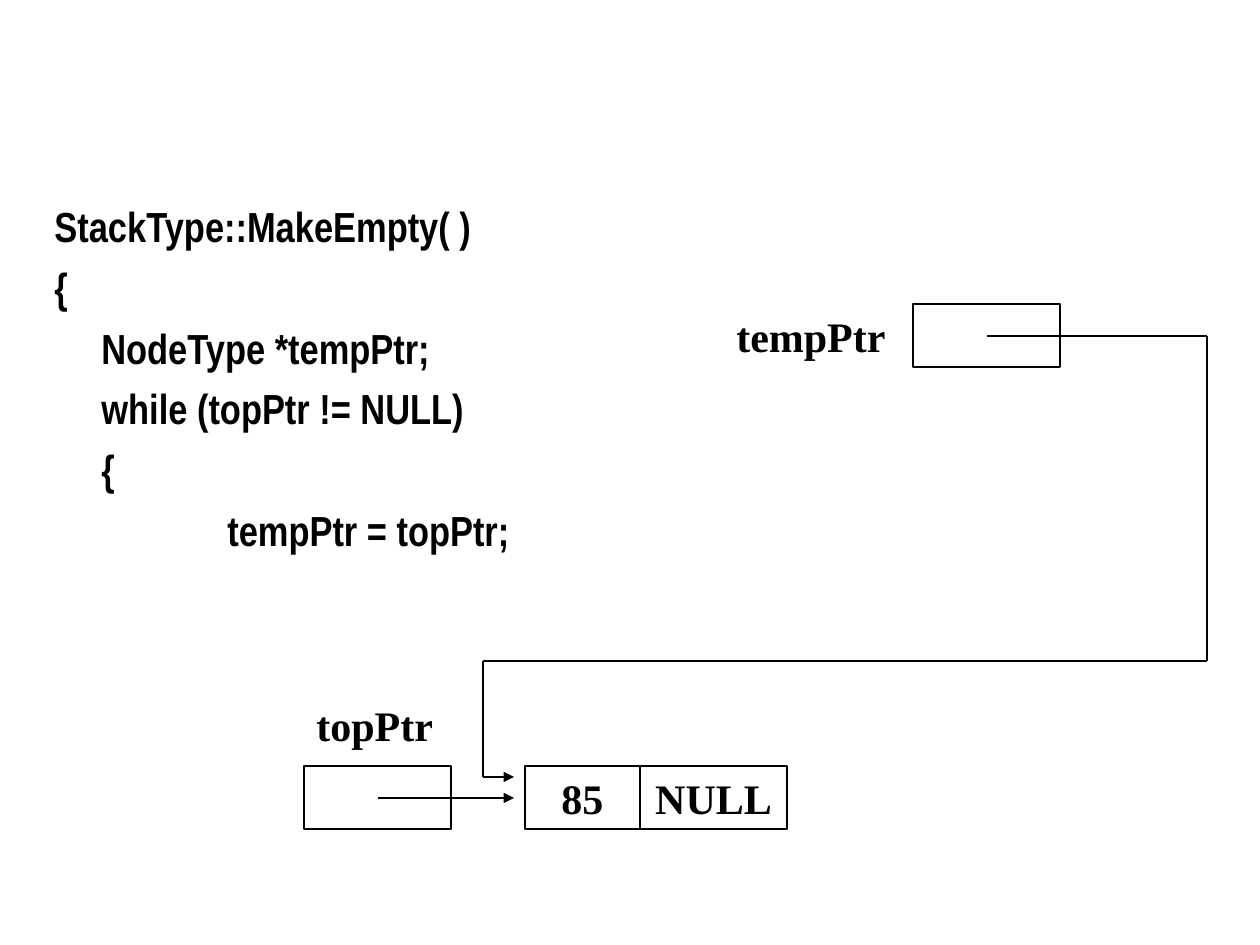
"""Build a slide showing a stack's MakeEmpty code beside its pointer diagram."""
from dataclasses import dataclass
from itertools import pairwise

from lxml import etree
from pptx import Presentation
from pptx.dml.color import RGBColor
from pptx.enum.shapes import MSO_CONNECTOR, MSO_SHAPE
from pptx.enum.text import MSO_ANCHOR, PP_ALIGN
from pptx.oxml.ns import qn
from pptx.util import Emu, Pt

RECTANGLE = MSO_SHAPE.RECTANGLE
STRAIGHT = MSO_CONNECTOR.STRAIGHT
TOP, MIDDLE = MSO_ANCHOR.TOP, MSO_ANCHOR.MIDDLE
LEFT, CENTER = PP_ALIGN.LEFT, PP_ALIGN.CENTER

PIXELS_PER_INCH = 126
BLACK, WHITE = "000000", "FFFFFF"
CODE_FONT, LABEL_FONT = "Arial Narrow", "Times New Roman"
CELL_HEIGHT = 63
NODE_TOP = 766


@dataclass(frozen=True)
class Cell:
    left: int
    top: int
    width: int
    text: str = ""


@dataclass(frozen=True)
class Label:
    left: int
    top: int
    width: int
    text: str


@dataclass(frozen=True)
class CodeLine:
    text: str
    indent: int = 0


CODE = [
    CodeLine("StackType::MakeEmpty( )"),
    CodeLine("{"),
    CodeLine("NodeType *tempPtr;", 47),
    CodeLine("while (topPtr != NULL)", 47),
    CodeLine("{", 47),
    CodeLine("tempPtr = topPtr;", 173),
]
CELLS = [
    Cell(913, 304, 147),
    Cell(525, NODE_TOP, 115, "85"),
    Cell(304, NODE_TOP, 147),
    Cell(640, NODE_TOP, 147, "NULL"),
]
LABELS = [
    Label(724, 304, 189, "tempPtr"),
    Label(304, 693, 189, "topPtr"),
]
POINTERS = [
    [(987, 336), (1207, 336), (1207, 661), (483, 661), (483, 777), (514, 777)],
    [(378, 798), (514, 798)],
]


def px(length: int) -> Emu:
    """Turn pixels into EMU."""
    return Emu(round(length * 914400 / PIXELS_PER_INCH))


def color(value: str) -> RGBColor:
    """Turn a hex string into a colour."""
    return RGBColor.from_string(value)


def write_text(frame, text: str, *, font: str = LABEL_FONT, align=LEFT,
               anchor=TOP, wrap: bool = True, indent: int = 0,
               space_before: int = 0, new_paragraph: bool = False) -> None:
    """Write one bold paragraph into a text frame."""
    frame.word_wrap = wrap
    frame.vertical_anchor = anchor
    paragraph = frame.add_paragraph() if new_paragraph else frame.paragraphs[0]
    if indent:
        paragraph._p.get_or_add_pPr().set("marL", str(px(indent)))
    paragraph.alignment = align
    paragraph.space_before = Pt(space_before)
    run = paragraph.add_run()
    run.text = text
    run.font.name = font
    run.font.size = Pt(24)
    run.font.bold = True
    run.font.color.rgb = color(BLACK)


def draw_code(slide, lines: list[CodeLine]) -> None:
    """Draw the code listing in one text box."""
    box = slide.shapes.add_textbox(px(42), px(194), px(660), px(370))
    for number, line in enumerate(lines):
        write_text(box.text_frame, line.text, font=CODE_FONT, indent=line.indent,
                   space_before=6 if number else 0, new_paragraph=number > 0)


def draw_cell(slide, cell: Cell) -> None:
    """Draw a memory cell with its value, if it has one."""
    shape = slide.shapes.add_shape(RECTANGLE, px(cell.left), px(cell.top),
                                   px(cell.width), px(CELL_HEIGHT))
    shape.shadow.inherit = False
    shape.fill.solid()
    shape.fill.fore_color.rgb = color(WHITE)
    shape.line.color.rgb = color(BLACK)
    shape.line.width = Pt(1)
    if cell.text:
        write_text(shape.text_frame, cell.text, align=CENTER, anchor=MIDDLE,
                   wrap=False)


def draw_label(slide, label: Label) -> None:
    """Draw the name of a pointer."""
    box = slide.shapes.add_textbox(px(label.left), px(label.top),
                                   px(label.width), px(CELL_HEIGHT))
    write_text(box.text_frame, label.text)


def draw_pointer(slide, points: list[tuple[int, int]]) -> None:
    """Draw straight segments through the points, ending in an arrowhead."""
    for start, end in pairwise(points):
        connector = slide.shapes.add_connector(
            STRAIGHT, *(px(length) for length in start + end))
        connector.line.color.rgb = color(BLACK)
        connector.line.width = Pt(1)
        if end == points[-1]:
            etree.SubElement(connector.line._get_or_add_ln(), qn("a:tailEnd"),
                             type="triangle")
        etree.SubElement(connector._element.spPr, qn("a:effectLst"))


def main() -> None:
    """Build and save the slide."""
    presentation = Presentation()
    presentation.slide_width, presentation.slide_height = px(1260), px(945)
    slide = presentation.slides.add_slide(presentation.slide_layouts[6])
    draw_code(slide, CODE)
    for cell in CELLS:
        draw_cell(slide, cell)
    for label in LABELS:
        draw_label(slide, label)
    for points in POINTERS:
        draw_pointer(slide, points)
    presentation.save("out.pptx")


if __name__ == "__main__":
    main()
